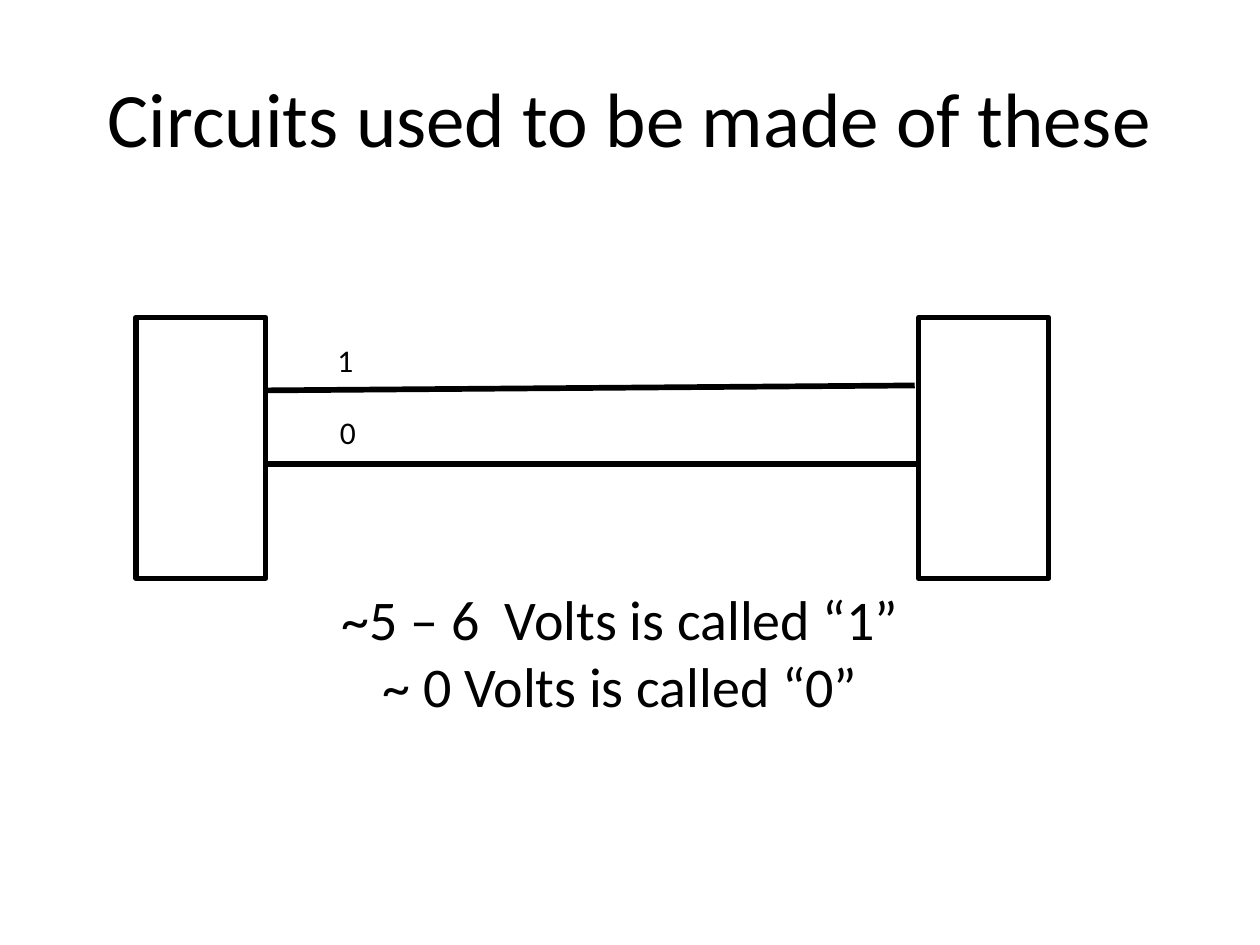
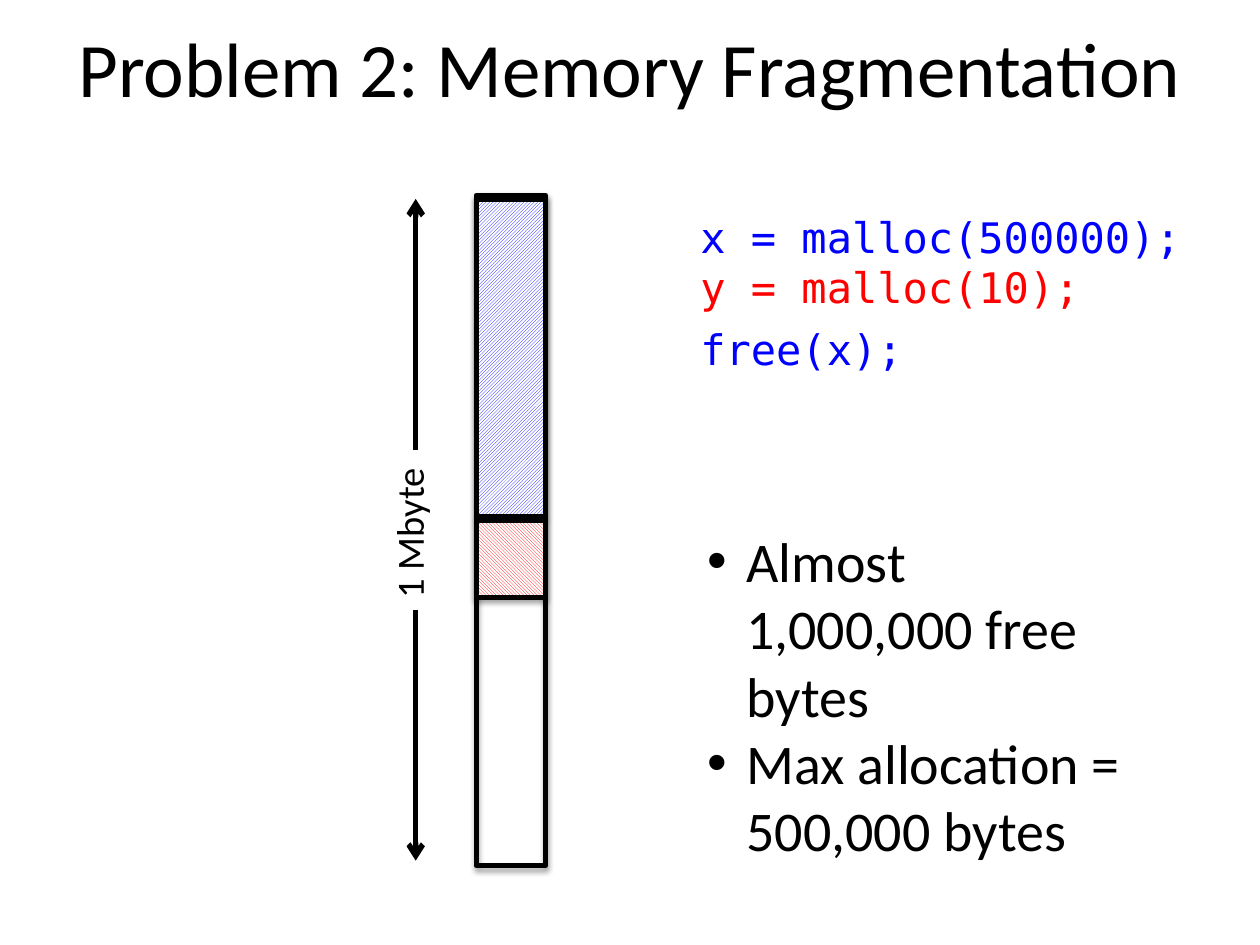
"""Build two lecture slides: circuit voltages and memory fragmentation."""
from dataclasses import dataclass
from typing import Optional

from lxml.etree import SubElement
from pptx import Presentation
from pptx.dml.color import RGBColor
from pptx.enum.dml import MSO_PATTERN
from pptx.enum.shapes import MSO_CONNECTOR, MSO_SHAPE
from pptx.enum.text import MSO_ANCHOR, MSO_AUTO_SIZE, PP_ALIGN
from pptx.oxml.ns import qn
from pptx.util import Cm, Pt

BLACK, WHITE, BLUE, RED = "000000", "FFFFFF", "0000FF", "FF0000"
BODY_FONT, CODE_FONT = "Calibri", "DejaVu Sans Mono"
TITLE_ONLY, TITLE_AND_BODY = 5, 1


@dataclass
class Area:
    left: float
    top: float
    width: float
    height: float

    def lengths(self) -> tuple:
        return Cm(self.left), Cm(self.top), Cm(self.width), Cm(self.height)


@dataclass
class Line:
    text: str
    color: str = BLACK


@dataclass
class Label:
    area: Area
    lines: list[Line]
    size: float
    font: str = BODY_FONT
    align: PP_ALIGN = PP_ALIGN.LEFT
    rotation: float = 0


@dataclass
class Block:
    area: Area
    pattern: Optional[MSO_PATTERN] = None
    color: str = BLACK
    shadow: bool = False


@dataclass
class Wire:
    start: tuple[float, float]
    end: tuple[float, float]
    weight: float
    arrow: bool = False


def rgb(color: str) -> RGBColor:
    return RGBColor.from_string(color)


def place(shape, area: Area) -> None:
    shape.left, shape.top, shape.width, shape.height = area.lengths()


def write(frame, lines: list[Line], size: float, font: str, align: PP_ALIGN) -> None:
    for index, line in enumerate(lines):
        para = frame.paragraphs[0] if index == 0 else frame.add_paragraph()
        para.alignment = align
        span = para.add_run()
        span.text = line.text
        span.font.name = font
        span.font.size = Pt(size)
        span.font.color.rgb = rgb(line.color)


def add_page(deck, layout: int, title: str, top: float):
    page = deck.slides.add_slide(deck.slide_layouts[layout])
    place(page.shapes.title, Area(1.27, top, 22.86, 3.18))
    frame = page.shapes.title.text_frame
    frame.vertical_anchor = MSO_ANCHOR.MIDDLE
    write(frame, [Line(title)], 44, BODY_FONT, PP_ALIGN.CENTER)
    return page


def add_label(page, label: Label) -> None:
    box = page.shapes.add_textbox(*label.area.lengths())
    box.rotation = label.rotation
    box.text_frame.word_wrap = False
    box.text_frame.auto_size = MSO_AUTO_SIZE.SHAPE_TO_FIT_TEXT
    write(box.text_frame, label.lines, label.size, label.font, label.align)


def add_shadow(shape) -> None:
    effects = shape._element.spPr.find(qn("a:effectLst"))
    outer = SubElement(effects, qn("a:outerShdw"), blurRad=str(Pt(3.1)),
                       dist=str(Pt(1.8)), dir="5400000", rotWithShape="0")
    color = SubElement(outer, qn("a:srgbClr"), val=BLACK)
    SubElement(color, qn("a:alpha"), val="35000")


def add_block(page, block: Block) -> None:
    shape = page.shapes.add_shape(MSO_SHAPE.RECTANGLE, *block.area.lengths())
    if block.pattern is None:
        shape.fill.background()
    else:
        shape.fill.patterned()
        shape.fill.pattern = block.pattern
        shape.fill.fore_color.rgb = rgb(block.color)
        shape.fill.back_color.rgb = rgb(WHITE)
    shape.line.color.rgb = rgb(BLACK)
    shape.line.width = Pt(3)
    shape.shadow.inherit = False
    if block.shadow:
        add_shadow(shape)


def add_wire(page, wire: Wire) -> None:
    ends = [Cm(value) for value in (*wire.start, *wire.end)]
    connector = page.shapes.add_connector(MSO_CONNECTOR.STRAIGHT, *ends)
    connector.line.color.rgb = rgb(BLACK)
    connector.line.width = Pt(wire.weight)
    if wire.arrow:
        SubElement(connector.line._get_or_add_ln(), qn("a:tailEnd"), type="arrow")
    SubElement(connector._element.spPr, qn("a:effectLst"))


def add_list(page, area: Area, items: list[str]) -> None:
    body = page.placeholders[1]
    place(body, area)
    body.text_frame.word_wrap = True
    body.text_frame.auto_size = MSO_AUTO_SIZE.SHAPE_TO_FIT_TEXT
    write(body.text_frame, [Line(item) for item in items], 32, BODY_FONT, PP_ALIGN.LEFT)
    for para in body.text_frame.paragraphs:
        para.space_before = Pt(0)
        properties = para._p.get_or_add_pPr()
        properties.set("marL", str(Cm(0.79)))
        properties.set("indent", str(-Cm(0.79)))
        SubElement(properties, qn("a:buFont"), typeface="Arial")
        SubElement(properties, qn("a:buChar"), char="•")


def build_circuits(deck) -> None:
    page = add_page(deck, TITLE_ONLY, "Circuits used to be made of these", 0.76)
    volts = [Line("~5 – 6  Volts is called “1”"), Line("~ 0 Volts is called “0”")]
    add_label(page, Label(Area(6.55, 11.66, 11.91, 3), volts, 32, align=PP_ALIGN.CENTER))
    for left in (2.74, 18.52):
        add_block(page, Block(Area(left, 6.4, 2.62, 5.26)))
    add_wire(page, Wire((5.34, 7.87), (18.44, 7.77), 3.25))
    add_wire(page, Wire((5.34, 9.35), (18.52, 9.35), 3.25))
    for bit, left, top in (("1", 6.55, 6.76), ("0", 6.6, 8.2)):
        add_label(page, Label(Area(left, top, 0.84, 1.02), [Line(bit)], 18))


def build_fragmentation(deck) -> None:
    page = add_page(deck, TITLE_AND_BODY, "Problem 2: Memory Fragmentation", -0.25)
    bar_left, bar_width = 9.6, 1.4
    for top, height, pattern, color in (
        (3.94, 13.51, None, BLACK),
        (4.01, 6.4, MSO_PATTERN.DARK_UPWARD_DIAGONAL, BLUE),
        (10.49, 1.55, MSO_PATTERN.DARK_DOWNWARD_DIAGONAL, RED),
    ):
        area = Area(bar_left, top, bar_width, height)
        add_block(page, Block(area, pattern, color, shadow=True))
    for start, end in ((12.29, 17.35), (9.07, 4.01)):
        add_wire(page, Wire((8.38, start), (8.38, end), 3, arrow=True))
    add_label(page, Label(Area(6.65, 10.13, 3.18, 1.19), [Line("1 Mbyte")], 22, rotation=270))
    allocations = [Line("x = malloc(500000);", BLUE), Line("y = malloc(10);", RED)]
    add_label(page, Label(Area(13.87, 4.14, 10.26, 2.31), allocations, 24, CODE_FONT))
    release = [Line("free(x);", BLUE)]
    add_label(page, Label(Area(13.87, 6.4, 4.62, 1.27), release, 24, CODE_FONT))
    add_list(page, Area(14, 10.49, 8.97, 7.09),
             ["Almost 1,000,000 free bytes", "Max allocation = 500,000 bytes"])


def main() -> None:
    deck = Presentation()
    deck.slide_width, deck.slide_height = Cm(25.4), Cm(19.05)
    build_circuits(deck)
    build_fragmentation(deck)
    deck.save("out.pptx")


if __name__ == "__main__":
    main()
